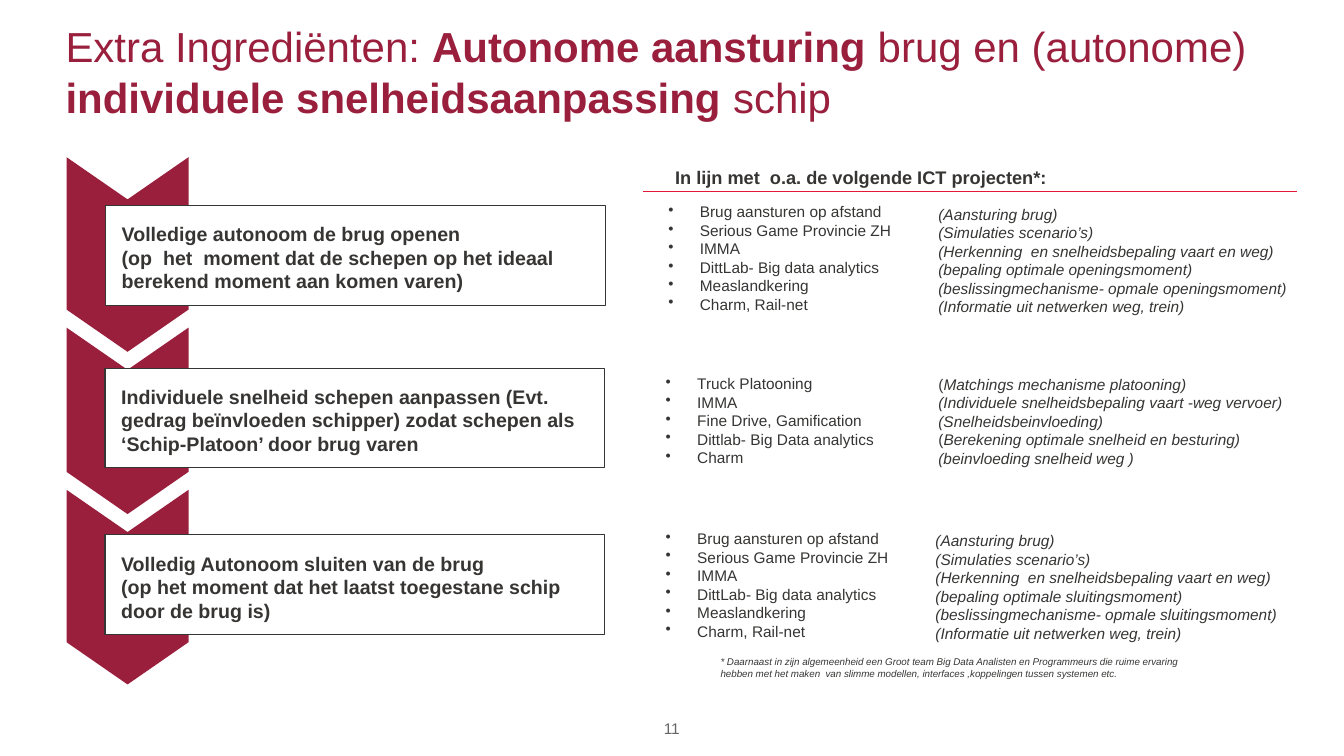
from dataclasses import dataclass

from lxml import etree
from pptx import Presentation
from pptx.dml.color import RGBColor
from pptx.enum.shapes import MSO_CONNECTOR, MSO_SHAPE
from pptx.enum.text import MSO_ANCHOR, MSO_AUTO_SIZE, PP_ALIGN
from pptx.oxml.ns import qn
from pptx.util import Pt

CHEVRON, RECTANGLE = MSO_SHAPE.CHEVRON, MSO_SHAPE.RECTANGLE
STRAIGHT = MSO_CONNECTOR.STRAIGHT
TOP, MIDDLE = MSO_ANCHOR.TOP, MSO_ANCHOR.MIDDLE
LEFT, CENTER = PP_ALIGN.LEFT, PP_ALIGN.CENTER
NO_AUTOFIT = MSO_AUTO_SIZE.NONE


@dataclass(frozen=True)
class Theme:
    font: str = "Arial"
    wine: RGBColor = RGBColor(0x99, 0x1F, 0x3D)
    red: RGBColor = RGBColor(0xE3, 0x19, 0x37)
    ink: RGBColor = RGBColor(0x36, 0x35, 0x34)
    grey: RGBColor = RGBColor(0x66, 0x66, 0x66)
    white: RGBColor = RGBColor(0xFF, 0xFF, 0xFF)
    title: int = 30
    step: int = 14
    heading: int = 13
    body: int = 11
    note: int = 7


theme = Theme()


def write(box, lines, size, color=theme.ink, emphasis="bold", insets=(0, 0, 0, 0),
          anchor=TOP, align=LEFT, bullets=False):
    """Fill a box with lines; "|" switches the emphasis, a newline breaks the line."""
    frame = box.text_frame
    frame.word_wrap = True
    frame.auto_size = NO_AUTOFIT
    frame.vertical_anchor = anchor
    (frame.margin_left, frame.margin_top,
     frame.margin_right, frame.margin_bottom) = map(Pt, insets)
    for index, line in enumerate(lines):
        para = frame.add_paragraph() if index else frame.paragraphs[0]
        para.alignment = align
        if bullets:
            properties = para._p.get_or_add_pPr()
            properties.set("marL", str(Pt(22.5)))
            properties.set("indent", str(-Pt(22.5)))
            etree.SubElement(properties, qn("a:buChar")).set("char", "•")
        for position, piece in enumerate(line.split("|")):
            for row, words in enumerate(piece.split("\n")):
                if row:
                    para.add_line_break()
                    etree.SubElement(para._p[-1], qn("a:rPr")).set("sz", str(size * 100))
                if words:
                    span = para.add_run()
                    span.text = words
                    span.font.name = theme.font
                    span.font.size = Pt(size)
                    span.font.color.rgb = color
                    setattr(span.font, emphasis, position % 2 == 1)


def add_shape(kind, left, top, width, height, fill, line=None):
    shape = page.shapes.add_shape(kind, Pt(left), Pt(top), Pt(width), Pt(height))
    shape.shadow.inherit = False
    shape.fill.solid()
    shape.fill.fore_color.rgb = fill
    if line is None:
        shape.line.fill.background()
    else:
        shape.line.color.rgb = line
        shape.line.width = Pt(0.75)
    return shape


deck = Presentation()
deck.slide_width, deck.slide_height = Pt(960), Pt(540)
page = deck.slides.add_slide(deck.slide_layouts[5])

# Title
title = page.shapes.title
title.left, title.top, title.width, title.height = Pt(46.8), Pt(14.4), Pt(900.7), Pt(72.7)
write(title, ["Extra Ingrediënten: |Autonome aansturing |brug en (autonome) "
              "|individuele snelheidsaanpassing| schip"],
      theme.title, theme.wine, anchor=MIDDLE)

# Content of the three steps
bridge_projects = ["Brug aansturen op afstand", "Serious Game Provincie ZH", "IMMA",
                   "DittLab- Big data analytics", "Measlandkering", "Charm, Rail-net"]
bridge_roles = ["|(Aansturing brug)", "|(Simulaties scenario’s)",
                "|(Herkenning  en snelheidsbepaling vaart en weg)",
                "|(bepaling optimale {moment})",
                "|(beslissingmechanisme- opmale {moment})",
                "|(Informatie uit netwerken weg, trein)"]
opening_roles, closing_roles = (
    [role.format(moment=moment) for role in bridge_roles]
    for moment in ("openingsmoment", "sluitingsmoment"))
speed_projects = ["Truck Platooning", "IMMA", "Fine Drive, Gamification",
                  "Dittlab- Big Data analytics", "Charm"]
speed_roles = ["(|Matchings mechanisme platooning)",
               "|(Individuele snelheidsbepaling vaart -weg vervoer)",
               "|(Snelheidsbeinvloeding)",
               "(|Berekening optimale snelheid en besturing)",
               "|(beinvloeding snelheid weg )"]

# Chevron length, box left and top, projects left and top, roles left and top
steps = [
    (139, (75.4, 146.9), (477.4, 144.7), (670.3, 146.2),
     ["|Volledige autonoom de brug openen\n(op  het  moment dat de schepen op het "
      "ideaal berekend moment aan komen varen)"],
     bridge_projects, opening_roles),
    (133.2, (75, 262.9), (475.5, 267.3), (670.3, 267.8),
     ["|Individuele snelheid schepen aanpassen (Evt. gedrag beïnvloeden schipper) "
      "zodat schepen als  ‘Schip-Platoon’ door brug varen"],
     speed_projects, speed_roles),
    (139, (75, 382), (475.5, 378), (668.2, 379.4),
     ["|Volledig Autonoom sluiten van de brug",
      "|(op het moment dat het laatst toegestane schip door de brug is)"],
     bridge_projects, closing_roles),
]
chevron_width, chevron_middle, first_middle, step_pitch = 87.1, 91.1, 181.8, 118.8

# Chevrons, step boxes and project columns
for index, (length, box_at, projects_at, roles_at, label, projects, roles) in enumerate(steps):
    middle = first_middle + index * step_pitch
    chevron = add_shape(CHEVRON, chevron_middle - length / 2, middle - chevron_width / 2,
                        length, chevron_width, theme.wine)
    chevron.adjustments[0] = 0.346
    chevron.rotation = 90

    step_box = add_shape(RECTANGLE, *box_at, 356.8, 71.3, theme.white, theme.ink)
    write(step_box, label, theme.step, insets=(11.5, 11.5, 0, 8.6), anchor=MIDDLE)

    column_height = len(projects) * 13.3
    project_box = page.shapes.add_textbox(*map(Pt, projects_at), Pt(185), Pt(column_height))
    write(project_box, projects, theme.body, bullets=True)
    role_box = page.shapes.add_textbox(*map(Pt, roles_at), Pt(256.3), Pt(column_height))
    write(role_box, roles, theme.body, emphasis="italic")

# Heading with rule
heading = add_shape(RECTANGLE, 475.2, 115.2, 450.7, 23, theme.white, theme.white)
write(heading, ["|In lijn met  o.a. de volgende ICT projecten*:"], theme.heading,
      insets=(7.2, 3.6, 7.2, 3.6))
rule = page.shapes.add_connector(STRAIGHT, Pt(459.4), Pt(136.8), Pt(926.6), Pt(136.8))
rule.line.color.rgb = theme.red
rule.line.width = Pt(1)
etree.SubElement(rule._element.spPr, qn("a:effectLst"))

# Footnote and page number
footnote = page.shapes.add_textbox(Pt(507.6), Pt(465.1), Pt(365), Pt(24.5))
write(footnote, ["|* Daarnaast in zijn algemeenheid een Groot team Big Data Analisten en "
                 "Programmeurs die ruime ervaring hebben met het maken  van slimme modellen, "
                 "interfaces ,koppelingen tussen systemen etc."],
      theme.note, emphasis="italic", insets=(7.2, 3.6, 7.2, 3.6))
page_number = page.shapes.add_textbox(Pt(439.2), Pt(513.4), Pt(81.4), Pt(18.7))
write(page_number, ["11"], theme.body, theme.grey, align=CENTER)

deck.save("out.pptx")
